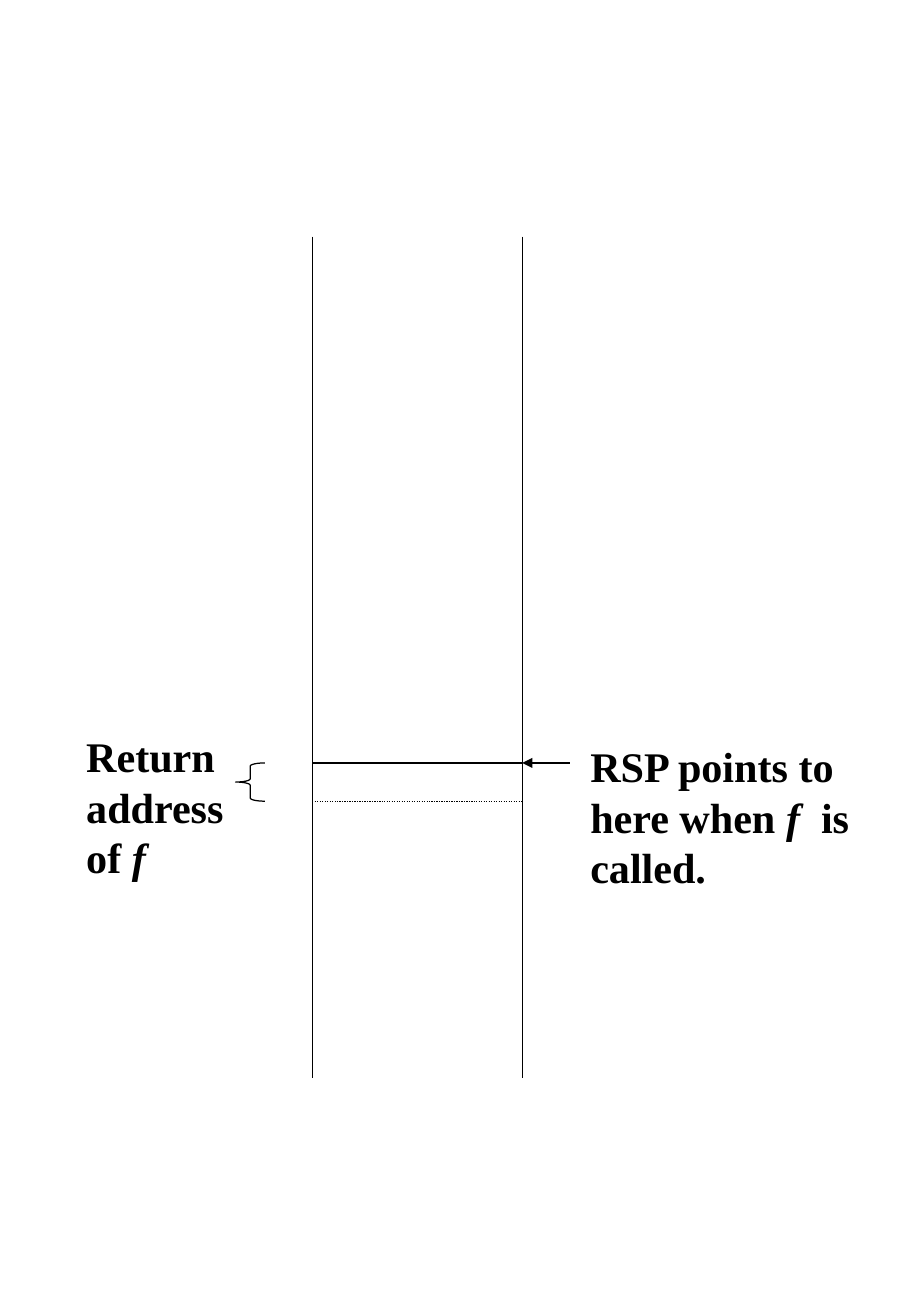
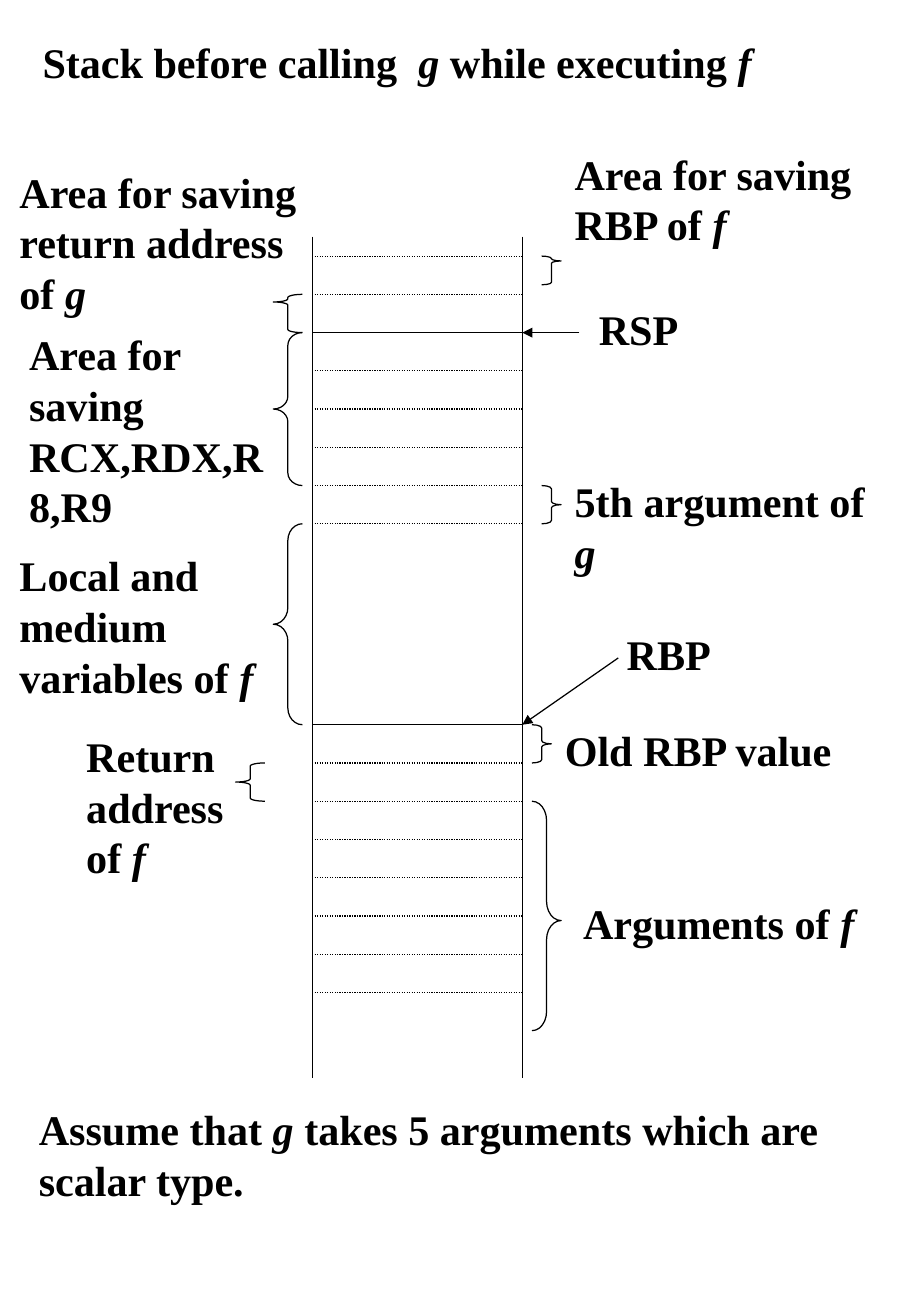
from lxml import etree
from pptx import Presentation, util as u
from pptx.dml.color import RGBColor
from pptx.enum import dml, shapes, text
from pptx.oxml.ns import qn

INK = RGBColor(0, 0, 0)
FONT = "Times New Roman"
FONT_SIZE = 25
LINE_WIDTH = 0.74
SLIDE_WIDTH, SLIDE_HEIGHT = 7.5, 10.84
TITLE_ONLY, BLANK = 5, 6
WALL_LEFT, WALL_RIGHT = 2.57, 4.3
WALL_TOP, WALL_BOTTOM = 1.95, 8.88
CELL = 0.315
CALLEE_TOP, FRAME_TOP = 2.11, 5.97
LEFT_BRACE = shapes.MSO_SHAPE.LEFT_BRACE
RIGHT_BRACE = shapes.MSO_SHAPE.RIGHT_BRACE


def callee_row(index):
    """Height of a cell edge in the area prepared for calling g."""
    return CALLEE_TOP + index * CELL


def frame_row(index):
    """Height of a cell edge in the area from RBP downwards."""
    return FRAME_TOP + index * CELL


def write(shape, markup):
    """Fill a shape with bold text; parts between asterisks are italic."""
    frame = shape.text_frame
    frame.word_wrap = True
    frame.auto_size = text.MSO_AUTO_SIZE.SHAPE_TO_FIT_TEXT
    frame.vertical_anchor = text.MSO_ANCHOR.TOP
    frame.margin_left = frame.margin_right = u.Inches(0.11)
    frame.margin_top = frame.margin_bottom = u.Inches(0.05)
    for number, line in enumerate(markup.split("\n")):
        paragraph = frame.add_paragraph() if number else frame.paragraphs[0]
        paragraph.alignment = text.PP_ALIGN.LEFT
        for position, part in enumerate(line.split("*")):
            if part:
                run = paragraph.add_run()
                run.text = part
                run.font.name = FONT
                run.font.size = u.Pt(FONT_SIZE)
                run.font.bold = True
                run.font.italic = position % 2 == 1
                run.font.color.rgb = INK


def add_label(slide, markup, left, top, width, height):
    """Add a text box."""
    box = slide.shapes.add_textbox(*map(u.Inches, (left, top, width, height)))
    write(box, markup)


def add_title(slide, markup):
    """Place and fill the title placeholder."""
    title = slide.shapes.title
    title.left, title.top = u.Inches(0.24), u.Inches(0.25)
    title.width, title.height = u.Inches(6.97), u.Inches(0.52)
    write(title, markup)


def style_line(line):
    """Give a line the common colour and width."""
    line.color.rgb = INK
    line.width = u.Pt(LINE_WIDTH)


def add_line(slide, start, end, dotted=False, arrow=False):
    """Draw a straight line, optionally dotted or with an arrowhead at its end."""
    connector = slide.shapes.add_connector(
        shapes.MSO_CONNECTOR.STRAIGHT, *map(u.Inches, (*start, *end)))
    style_line(connector.line)
    if dotted:
        connector.line.dash_style = dml.MSO_LINE.ROUND_DOT
    properties = connector._element.spPr
    if arrow:
        etree.SubElement(properties.find(qn("a:ln")), qn("a:tailEnd"), type="triangle")
    etree.SubElement(properties, qn("a:effectLst"))


def add_edge(slide, height, dotted=True):
    """Draw a cell edge across the stack."""
    add_line(slide, (WALL_LEFT, height), (WALL_RIGHT, height), dotted)


def add_brace(slide, kind, left, top, bottom, width=0.24, tip=0.5):
    """Draw a brace whose tip sits at a share of its height."""
    height = bottom - top
    brace = slide.shapes.add_shape(
        kind, *map(u.Inches, (left, top, width, height)))
    brace.shadow.inherit = False
    brace.fill.background()
    style_line(brace.line)
    brace.adjustments[0] = height / 12 / min(width, height)
    brace.adjustments[1] = tip


def add_stack(slide):
    """Draw the stack walls and the return address of f, found on both slides."""
    for wall in (WALL_LEFT, WALL_RIGHT):
        add_line(slide, (wall, WALL_TOP), (wall, WALL_BOTTOM))
    add_edge(slide, frame_row(2))
    add_brace(slide, LEFT_BRACE, 1.94, frame_row(1), frame_row(2))
    add_label(slide, "Return address of *f*", 0.6, 5.97, 1.65, 1.36)


def add_pointer(slide, start, height):
    """Draw an arrow to the right wall of the stack."""
    add_line(slide, start, (WALL_RIGHT, height), arrow=True)


def build_entry_slide(presentation):
    """Stack at the moment f is called."""
    slide = presentation.slides.add_slide(presentation.slide_layouts[BLANK])
    add_stack(slide)
    add_edge(slide, frame_row(1), dotted=False)
    add_pointer(slide, (4.69, frame_row(1)), frame_row(1))
    add_label(slide, "RSP points to here when *f*  is called.", 4.75, 6.05, 2.75, 1.36)


def build_call_slide(presentation):
    """Stack just before f calls g."""
    slide = presentation.slides.add_slide(presentation.slide_layouts[TITLE_ONLY])
    add_title(slide, "Stack before calling  *g* while executing *f*")
    add_stack(slide)

    stack_pointer, base_pointer = callee_row(2), frame_row(0)
    for height in (stack_pointer, base_pointer):
        add_edge(slide, height, dotted=False)
    for index in (0, 1, 3, 4, 5, 6, 7):
        add_edge(slide, callee_row(index))
    for index in (1, 3, 4, 5, 6, 7):
        add_edge(slide, frame_row(index))
    add_pointer(slide, (4.77, stack_pointer), stack_pointer)
    add_pointer(slide, (5.09, 5.42), base_pointer)

    add_brace(slide, LEFT_BRACE, 2.25, callee_row(1), callee_row(2), tip=0.2)
    add_brace(slide, LEFT_BRACE, 2.25, callee_row(2), callee_row(6))
    add_brace(slide, LEFT_BRACE, 2.25, callee_row(7), frame_row(0))
    add_brace(slide, RIGHT_BRACE, 4.46, callee_row(0), callee_row(0.75), 0.16, 0.17)
    add_brace(slide, RIGHT_BRACE, 4.46, callee_row(6), callee_row(7), 0.16)
    add_brace(slide, RIGHT_BRACE, 4.38, frame_row(0), frame_row(1), 0.16)
    add_brace(slide, RIGHT_BRACE, 4.38, frame_row(2), frame_row(8), tip=0.52)

    add_label(slide, "Area for saving return address \nof *g*", 0.05, 1.32, 3.15, 1.36)
    add_label(slide, "Area for saving RCX,RDX,R8,R9", 0.13, 2.66, 2.2, 1.77)
    add_label(slide, "Local and medium variables of *f*", 0.05, 4.48, 2.21, 1.36)
    add_label(slide, "Area for saving RBP of *f*", 4.62, 1.17, 2.75, 0.94)
    add_label(slide, "RSP", 4.82, 2.45, 1, 0.52)
    add_label(slide, "5th argument of *g*", 4.62, 3.87, 2.75, 0.94)
    add_label(slide, "RBP", 5.05, 5.13, 1, 0.52)
    add_label(slide, "Old RBP value", 4.54, 5.92, 2.75, 0.52)
    add_label(slide, "Arguments of *f*", 4.69, 7.34, 2.75, 0.52)
    add_label(slide, "Assume that *g* takes 5 arguments which are scalar type.",
              0.21, 9.04, 6.97, 0.94)


def main():
    """Build and save the presentation."""
    presentation = Presentation()
    presentation.slide_width = u.Inches(SLIDE_WIDTH)
    presentation.slide_height = u.Inches(SLIDE_HEIGHT)
    build_entry_slide(presentation)
    build_call_slide(presentation)
    presentation.save("out.pptx")


main()
